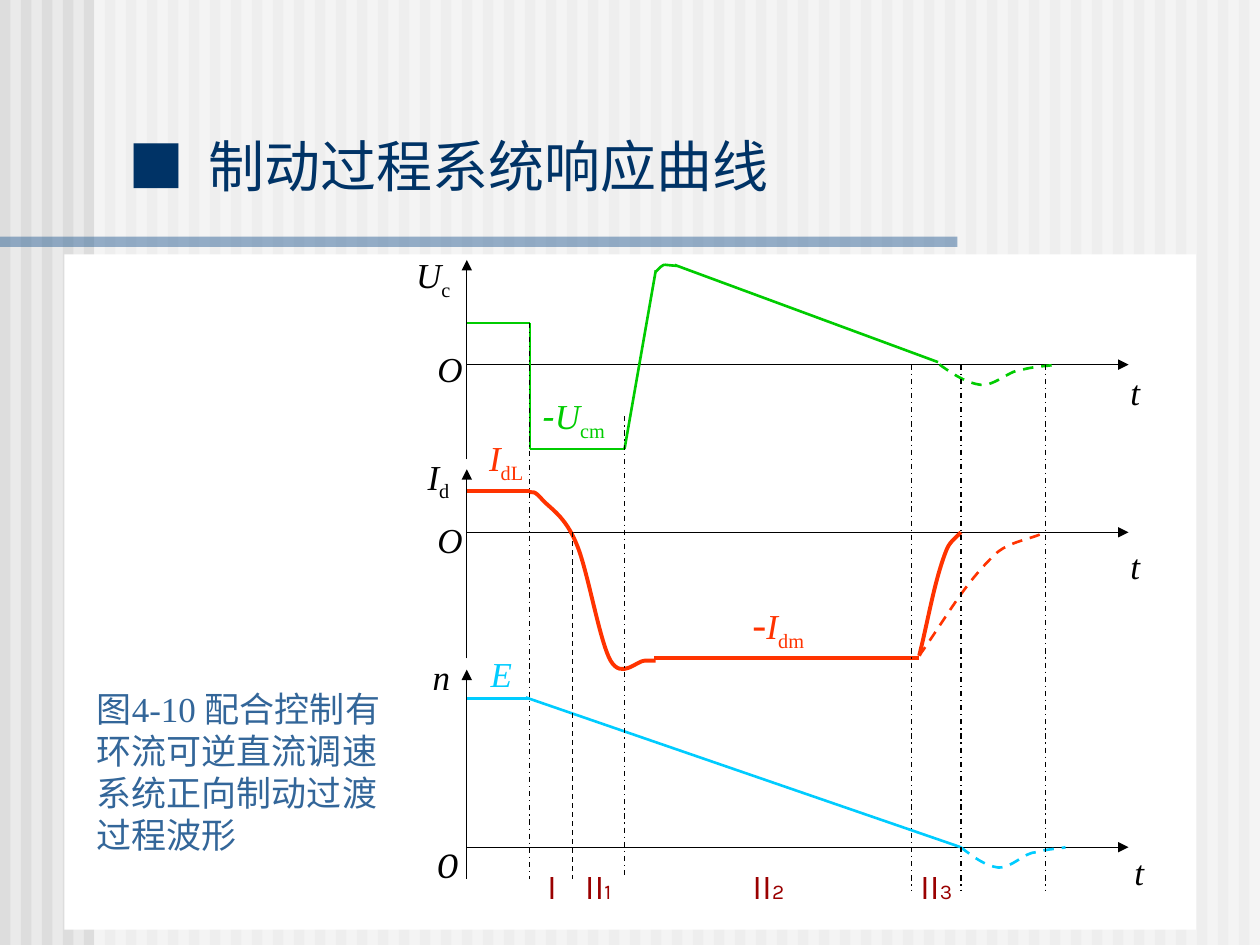
from typing import NamedTuple

from lxml import etree
from pptx import Presentation
from pptx import util as u
from pptx.dml.color import RGBColor
from pptx.enum import dml, shapes, text
from pptx.oxml import ns

BACKDROP = RGBColor(0xEA, 0xEA, 0xEA)
STRIPE = RGBColor(0xDD, 0xDD, 0xDD)
WHITE = RGBColor(0xFF, 0xFF, 0xFF)
BLACK = RGBColor(0, 0, 0)
NAVY = RGBColor(0x00, 0x33, 0x66)
STEEL = RGBColor(0x33, 0x66, 0x99)
GREEN = RGBColor(0x00, 0xCC, 0x00)
RED = RGBColor(0xFF, 0x33, 0x00)
CYAN = RGBColor(0x00, 0xCC, 0xFF)
MAROON = RGBColor(0x9A, 0, 0)
DASH = dml.MSO_LINE.DASH
DASH_DOT = dml.MSO_LINE.DASH_DOT
TIMES = "Times New Roman"
AXIS_LENGTH = 13.34
UNDERSHOOT = [(0, 0), (0.12, 0.2), (0.24, 0.38), (0.36, 0.41), (0.48, 0.43),
              (0.61, 0.1), (0.72, 0.1), (0.83, 0.03), (0.95, 0.03), (1, 0)]


class Piece(NamedTuple):
    text: str
    italic: bool = True
    font: str = TIMES
    size: float = 20
    baseline: int = 0


def subscript(letters):
    return Piece(letters, italic=False, baseline=-25000)


def add_bar(slide, left, top, width, height, color, alpha=100):
    bar = slide.shapes.add_shape(shapes.MSO_SHAPE.RECTANGLE, *map(u.Cm, (left, top, width, height)))
    bar.shadow.inherit = False
    bar.line.fill.background()
    bar.fill.solid()
    bar.fill.fore_color.rgb = color
    if alpha < 100:
        color_element = bar._element.spPr.find(".//" + ns.qn("a:srgbClr"))
        etree.SubElement(color_element, ns.qn("a:alpha"), val=str(alpha * 1000))
    return bar


def style_line(line, color, width, dash):
    line.color.rgb = color
    line.width = u.Pt(width)
    if dash:
        line.dash_style = dash


def add_line(slide, origin, start, end, color, width=1.5, dash=None, arrow=False):
    ends = [u.Cm(base + offset) for point in (start, end) for base, offset in zip(origin, point)]
    connector = slide.shapes.add_connector(shapes.MSO_CONNECTOR.STRAIGHT, *ends)
    style_line(connector.line, color, width, dash)
    if arrow:
        etree.SubElement(connector.line._get_or_add_ln(), ns.qn("a:tailEnd"), type="triangle")
    etree.SubElement(connector._element.spPr, ns.qn("a:effectLst"))


def add_curve(slide, origin, points, color, width=1.5, dash=None):
    placed = [(u.Cm(origin[0] + x), u.Cm(origin[1] + y)) for x, y in points]
    builder = slide.shapes.build_freeform(*placed[0])
    builder.add_line_segments(placed[1:], close=False)
    curve = builder.convert_to_shape()
    outline = curve._element.spPr.find(".//" + ns.qn("a:path"))
    segments = outline.findall(ns.qn("a:lnTo"))
    for first in range(0, len(segments), 3):
        cubic = etree.SubElement(outline, ns.qn("a:cubicBezTo"))
        for segment in segments[first:first + 3]:
            cubic.append(segment[0])
            outline.remove(segment)
    curve.shadow.inherit = False
    curve.fill.background()
    style_line(curve.line, color, width, dash)


def add_undershoot(slide, origin, start, width, color):
    add_curve(slide, origin, [(start + width * x, y) for x, y in UNDERSHOOT], color, dash=DASH)


def format_run(run, piece, color):
    run.text = piece.text
    run.font.name = piece.font
    run.font.size = u.Pt(piece.size)
    run.font.italic = piece.italic
    run.font.color.rgb = color
    if piece.baseline:
        run._r.get_or_add_rPr().set("baseline", str(piece.baseline))


def add_text(slide, origin, offset, pieces, color, width=1.47, height=1.15):
    left, top = (u.Cm(base + shift) for base, shift in zip(origin, offset))
    box = slide.shapes.add_textbox(left, top, u.Cm(width), u.Cm(height))
    box.text_frame.word_wrap = True
    for piece in pieces:
        format_run(box.text_frame.paragraphs[0].add_run(), piece, color)


def add_background(slide, master):
    master.background.fill.solid()
    master.background.fill.fore_color.rgb = BACKDROP
    bars = [add_bar(slide, index * 2.54 / 6, 0, 0.21, 19.05, STRIPE) for index in range(60)]
    bars.append(add_bar(slide, 1.9, 0, 23.5, 19.05, WHITE, alpha=50))
    bars.append(add_bar(slide, 0, 4.77, 19.3, 0.21, STEEL, alpha=50))
    for index, bar in enumerate(bars):
        bar._element.nvSpPr.cNvPr.set("id", str(100 + index))
        master.shapes._spTree.insert(2 + index, bar._element)


def add_title(slide, left, top, width, height):
    title = slide.shapes.title
    title.left, title.top, title.width, title.height = map(u.Cm, (left, top, width, height))
    title.text_frame.vertical_anchor = text.MSO_ANCHOR.BOTTOM
    paragraph = title.text_frame.paragraphs[0]
    paragraph.alignment = text.PP_ALIGN.LEFT
    tabs = etree.SubElement(paragraph._p.get_or_add_pPr(), ns.qn("a:tabLst"))
    etree.SubElement(tabs, ns.qn("a:tab"), pos=str(u.Cm(1.62)), algn="l")
    for piece in (Piece("■", False, "Arial", 32), Piece("\t制动过程系统响应曲线", False, TIMES, 32)):
        format_run(paragraph.add_run(), piece, NAVY)


def add_axes(slide, origin, above, below, name, name_at, zero_drop, time_at, zero_font=TIMES):
    add_line(slide, origin, (0, below), (0, -above), BLACK, 0.75, arrow=True)
    add_line(slide, origin, (0, 0), (AXIS_LENGTH, 0), BLACK, 0.75, arrow=True)
    add_text(slide, origin, name_at, name, BLACK)
    add_text(slide, origin, (-0.84, zero_drop), [Piece("O", font=zero_font)], BLACK, width=1.07)
    add_text(slide, origin, time_at, [Piece("t")], BLACK)


def add_voltage_panel(slide, origin):
    add_axes(slide, origin, 2.11, 1.91, [Piece("U"), subscript("c")], (-1.27, -2.36), -0.46, (13.13, 0))
    add_line(slide, origin, (0, -0.84), (1.27, -0.84), GREEN)
    add_line(slide, origin, (1.27, -0.84), (1.27, 1.7), GREEN, 1)
    add_line(slide, origin, (1.27, 1.7), (3.18, 1.7), GREEN)
    add_line(slide, origin, (3.18, 1.7), (3.81, -1.9), GREEN)
    add_curve(slide, origin, [(3.81, -1.87), (4.01, -2.06), (3.89, -2.01), (4.24, -1.99)], GREEN)
    add_line(slide, origin, (4.19, -2.01), (9.5, -0.05), GREEN)
    add_undershoot(slide, origin, 9.53, 2.34, GREEN)
    add_text(slide, origin, (1.27, 0.48),
             [Piece("-", font="DejaVu Sans"), Piece("U"), subscript("cm")], GREEN, width=2.11)


def add_current_panel(slide, origin):
    add_axes(slide, origin, 1.27, 2.54, [Piece("I"), subscript("d")], (-1.04, -1.68), -0.41, (13.13, 0.13))
    reversal = [(1.27, -0.81), (1.32, -0.81), (1.37, -0.84), (1.52, -0.66),
                (1.68, -0.48), (1.98, -0.33), (2.21, 0.23), (2.44, 0.76), (2.67, 2.18), (2.9, 2.59),
                (3.12, 2.97), (3.43, 2.59), (3.58, 2.59), (3.73, 2.59), (3.78, 2.59), (3.81, 2.59)]
    fast_decay = [(9.12, 2.49), (9.3, 1.78), (9.42, 1.02), (9.65, 0.41), (9.73, 0.18), (9.83, 0.15), (9.96, 0)]
    slow_decay = [(9.12, 2.49), (9.63, 1.78), (10.03, 1.02), (10.69, 0.41),
                  (10.97, 0.18), (11.35, 0.15), (11.66, 0)]
    add_line(slide, origin, (0, -0.84), (1.27, -0.84), RED, 2.25)
    add_curve(slide, origin, reversal, RED, 2.25)
    add_line(slide, origin, (3.78, 2.54), (9.12, 2.54), RED, 2.25)
    add_curve(slide, origin, fast_decay, RED, 2.25)
    add_curve(slide, origin, slow_decay, RED, dash=DASH)
    add_text(slide, origin, (0.2, -2.06), [Piece("I"), subscript("dL")], RED)
    add_text(slide, origin, (5.51, 1.19), [Piece("-", size=24), Piece("I"), subscript("dm")], RED, width=2.11)


def add_speed_panel(slide, origin):
    add_axes(slide, origin, 3.58, 0.64, [Piece("n")], (-0.94, -3.99), -0.2, (13.21, -0.05), "Cambria")
    add_line(slide, origin, (0, -3), (1.27, -3), CYAN)
    add_line(slide, origin, (1.19, -3.02), (9.96, 0), CYAN)
    add_undershoot(slide, origin, 9.96, 2.11, CYAN)
    add_text(slide, origin, (0.23, -4.06), [Piece("E")], CYAN)


def add_phases(slide, origin):
    guides = [(1.27, -0.84, 10.36, DASH_DOT), (2.13, 3.38, 10.36, DASH), (3.18, 1.04, 10.36, DASH_DOT)]
    guides += [(x, 0, 10.59, DASH_DOT) for x in (8.97, 9.96, 11.66)]
    for x, top, bottom, dash in guides:
        add_line(slide, origin, (x, top), (x, bottom), BLACK, 0.75, dash)
    for x, numeral, index in ((1.37, "I", ""), (2.13, "II", "1"), (5.51, "II", "2"), (8.89, "II", "3")):
        pieces = [Piece(numeral, False, "Karla")]
        if index:
            pieces.append(Piece(index, False, "Karla", 12))
        add_text(slide, origin, (x, 9.96), pieces, MAROON)


def add_waveforms(slide, left, top, width, height):
    add_bar(slide, left, top, width, height, WHITE)
    axis = left + 8.11
    add_voltage_panel(slide, (axis, top + 2.22))
    add_current_panel(slide, (axis, top + 5.6))
    add_speed_panel(slide, (axis, top + 11.95))
    add_phases(slide, (axis, top + 2.22))
    caption = [Piece("图4-10 ", False), Piece("配合控制有环流可逆直流调速系统正向制动过渡过程波形", False, "DejaVu Sans")]
    add_text(slide, (left, top), (0.4, 8.6), caption, STEEL, width=6.6, height=3.66)


def main():
    presentation = Presentation()
    presentation.slide_width, presentation.slide_height = u.Cm(25.4), u.Cm(19.05)
    slide = presentation.slides.add_slide(presentation.slide_layouts[5])
    add_background(slide, presentation.slide_master)
    add_title(slide, 2.33, 2.51, 20.12, 1.63)
    add_waveforms(slide, 1.3, 5.13, 22.81, 13.61)
    presentation.save("out.pptx")


if __name__ == "__main__":
    main()
